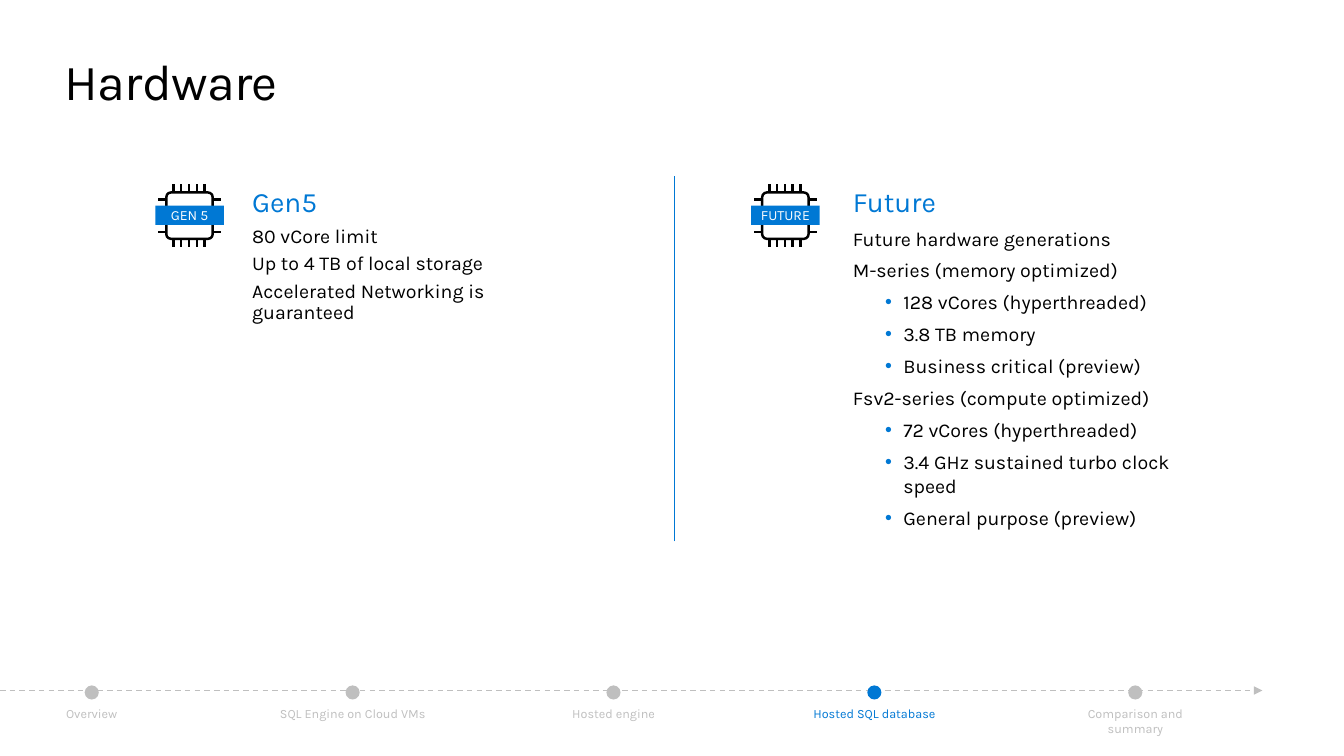
"""Build the hardware generations slide with its progress timeline."""
import pptx
import pptx.util
import pptx.dml.color
import pptx.enum.dml
import pptx.enum.shapes
import pptx.enum.text
import pptx.oxml.ns
from lxml import etree

Inches, Pt = pptx.util.Inches, pptx.util.Pt
SHAPE = pptx.enum.shapes.MSO_SHAPE
ALIGN = pptx.enum.text.PP_ALIGN
ANCHOR = pptx.enum.text.MSO_ANCHOR

THEME = {
    "font": "Karla", "text": "000000", "accent": "0078D4", "muted": "BFBFBF", "white": "FFFFFF",
    "title": 36, "heading": 20, "body": 14, "badge": 10, "step": 9, "rule": 1, "chip": 1.75,
}

TITLE = "Hardware"
COLUMNS = [
    {"badge": "GEN 5", "chip": 1.54, "box": (2.5, 1.83, 3.32, 1.22), "heading": "Gen5",
     "spacing": 0.9, "after": 4.5,
     "lines": [(0, "80 vCore limit"), (0, "Up to 4 TB of local storage"),
               (0, "Accelerated Networking is guaranteed")]},
    {"badge": "FUTURE", "chip": 7.45, "box": (8.46, 1.83, 3.66, 3.53), "heading": "Future",
     "spacing": 1.0, "after": 6,
     "lines": [(0, "Future hardware generations"), (0, "M-series (memory optimized)"),
               (1, "128 vCores (hyperthreaded)"), (1, "3.8 TB memory"),
               (1, "Business critical (preview)"), (0, "Fsv2-series (compute optimized)"),
               (1, "72 vCores (hyperthreaded)"), (1, "3.4 GHz sustained turbo clock speed"),
               (1, "General purpose (preview)")]},
]
STEPS = [("Overview", 0.51), ("SQL Engine on Cloud VMs", 1.51), ("Hosted engine", 1.08),
         ("Hosted SQL database", 1.24), ("Comparison and summary", 1.51)]
CURRENT_STEP = 3
CHIP_TOP = 1.83
FIRST_STEP, STEP_PITCH, DOT = 0.91, 2.5875, 0.14


def color(name):
    return pptx.dml.color.RGBColor.from_string(THEME[name])


def add_run(p, text, size, tint):
    r = p.add_run()
    r.text = text
    r.font.name = THEME["font"]
    r.font.size = Pt(THEME[size])
    r.font.color.rgb = color(tint)
    return r


def clear_margins(tf):
    tf.margin_left = tf.margin_right = tf.margin_top = tf.margin_bottom = 0


def add_text_box(shapes, box, wrap=True):
    tf = shapes.add_textbox(*map(Inches, box)).text_frame
    clear_margins(tf)
    tf.word_wrap = wrap
    return tf


def add_line(shapes, x1, y1, x2, y2, tint, width):
    c = shapes.add_connector(pptx.enum.shapes.MSO_CONNECTOR.STRAIGHT,
                             *map(Inches, (x1, y1, x2, y2)))
    c.line.color.rgb = color(tint)
    c.line.width = Pt(THEME[width])
    etree.SubElement(c._element.spPr, pptx.oxml.ns.qn("a:effectLst"))
    return c


def add_filled(shapes, kind, box, tint):
    sp = shapes.add_shape(kind, *map(Inches, box))
    sp.shadow.inherit = False
    sp.fill.solid()
    sp.fill.fore_color.rgb = color(tint)
    sp.line.fill.background()
    return sp


def add_bullet(p):
    pPr = p._p.get_or_add_pPr()
    pPr.set("marL", str(Inches(0.5)))
    pPr.set("indent", str(Inches(-0.18)))
    qn = pptx.oxml.ns.qn
    tint = etree.SubElement(pPr, qn("a:buClr"))
    etree.SubElement(tint, qn("a:srgbClr"), val=THEME["accent"])
    etree.SubElement(pPr, qn("a:buFont"), typeface="Arial")
    etree.SubElement(pPr, qn("a:buChar"), char="•")


def add_chip(s, left, label):
    shapes = s.shapes.add_group_shape().shapes
    body = shapes.add_shape(SHAPE.ROUNDED_RECTANGLE,
                            *map(Inches, (left + 0.11, CHIP_TOP + 0.08, 0.46, 0.46)))
    body.adjustments[0] = 0.1
    body.shadow.inherit = False
    body.fill.background()
    body.line.color.rgb = color("text")
    body.line.width = Pt(THEME["chip"])
    for offset in (0, 0.54):
        for i in range(5):
            x, y = left + 0.18 + 0.0775 * i, CHIP_TOP + offset
            add_line(shapes, x, y, x, y + 0.08, "text", "chip")
    for offset in (0.03, 0.57):
        for dy in (0.15, 0.39, 0.47):
            x, y = left + offset, CHIP_TOP + dy
            add_line(shapes, x, y, x + 0.08, y, "text", "chip")
    tf = add_filled(shapes, SHAPE.RECTANGLE, (left, CHIP_TOP + 0.21, 0.68, 0.19),
                    "accent").text_frame
    clear_margins(tf)
    tf.vertical_anchor = ANCHOR.MIDDLE
    p = tf.paragraphs[0]
    p.alignment = ALIGN.CENTER
    add_run(p, label, "badge", "white")


def add_column(s, column):
    tf = add_text_box(s.shapes, column["box"])
    p = tf.paragraphs[0]
    p.space_after = Pt(6)
    add_run(p, column["heading"], "heading", "accent")
    for level, text in column["lines"]:
        p = tf.add_paragraph()
        p.level = level
        p.line_spacing = column["spacing"]
        p.space_after = Pt(column["after"])
        if level:
            add_bullet(p)
        add_run(p, text, "body", "text")
    add_chip(s, column["chip"], column["badge"])


def add_timeline(s):
    shapes = s.shapes.add_group_shape().shapes
    axis = add_line(shapes, 0, 6.85, 12.52, 6.85, "muted", "rule")
    axis.line.dash_style = pptx.enum.dml.MSO_LINE.DASH
    etree.SubElement(axis.line._get_or_add_ln(), pptx.oxml.ns.qn("a:tailEnd"), type="triangle")
    for i, (label, width) in enumerate(STEPS):
        center = FIRST_STEP + STEP_PITCH * i
        tint = "accent" if i == CURRENT_STEP else "muted"
        add_filled(shapes, SHAPE.OVAL, (center - DOT / 2, 6.8, DOT, DOT), tint)
        tf = add_text_box(shapes, (center - width / 2, 7, width, 0.15), wrap=i > 0)
        p = tf.paragraphs[0]
        p.alignment = ALIGN.CENTER
        add_run(p, label, "step", tint)


def main():
    prs = pptx.Presentation()
    prs.slide_width, prs.slide_height = Inches(13.33), Inches(7.5)
    s = prs.slides.add_slide(prs.slide_layouts[6])
    tf = add_text_box(s.shapes, (0.64, 0.5, 12.05, 0.61))
    r = add_run(tf.paragraphs[0], TITLE, "title", "text")
    r.font._element.set("spc", "-50")
    for column in COLUMNS:
        add_column(s, column)
    add_line(s.shapes, 6.69, 5.37, 6.69, 1.75, "accent", "rule")
    add_timeline(s)
    prs.save("out.pptx")


if __name__ == "__main__":
    main()
